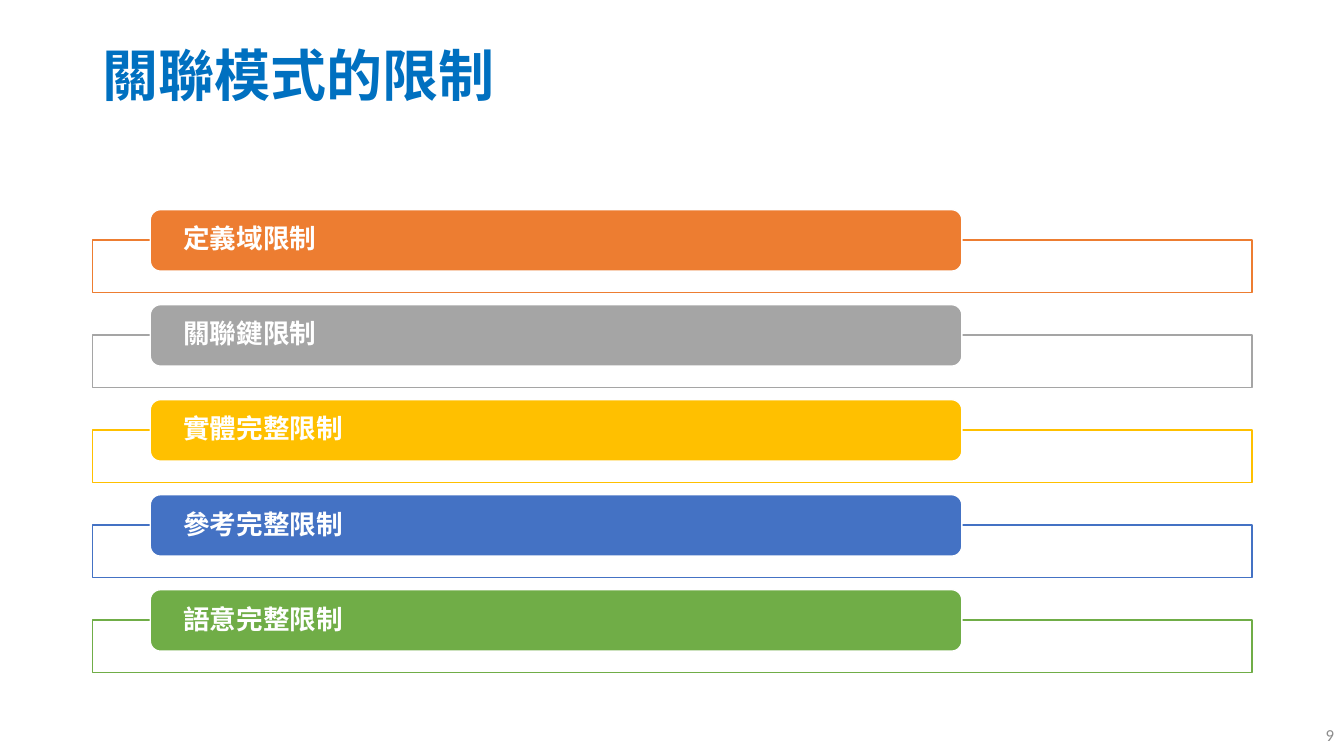
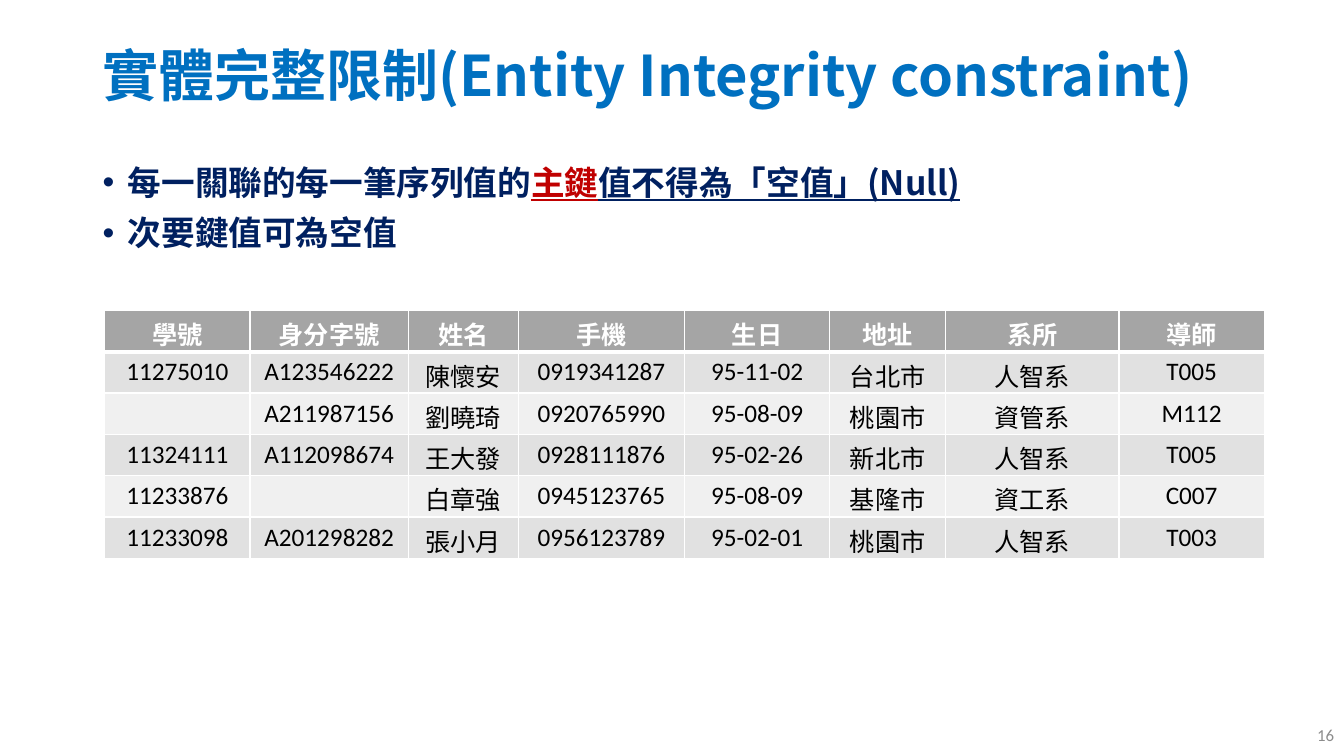
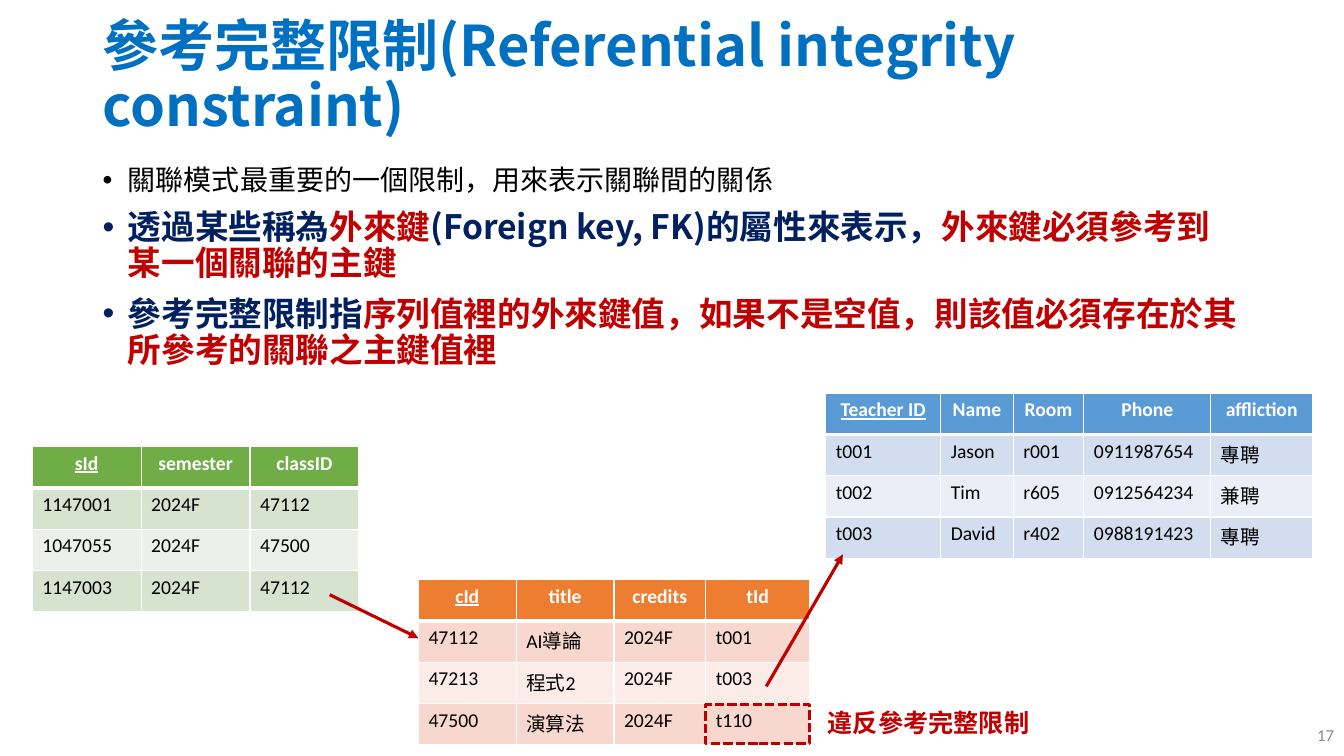
import dataclasses

import pptx
import pptx.dml.color
import pptx.enum.dml
import pptx.enum.shapes
import pptx.enum.text
import pptx.oxml
import pptx.oxml.ns
import pptx.util

Inches = pptx.util.Inches
Pt = pptx.util.Pt
Align = pptx.enum.text.PP_ALIGN
Anchor = pptx.enum.text.MSO_ANCHOR
Preset = pptx.enum.shapes.MSO_SHAPE


@dataclasses.dataclass(frozen=True)
class Theme:
    latin: str = "Calibri"
    cjk: str = "Noto Sans CJK SC"
    white: str = "FFFFFF"
    black: str = "000000"
    title: str = "0070C0"
    navy: str = "002060"
    red: str = "C00000"
    orange: str = "ED7D31"
    gray: str = "A5A5A5"
    gold: str = "FFC000"
    blue: str = "4472C4"
    sky: str = "5B9BD5"
    green: str = "70AD47"
    page_number: str = "8C8C8C"
    title_size: float = 40
    body_size: float = 24
    small_body_size: float = 20
    label_size: float = 19
    note_size: float = 18
    table_size: float = 18
    small_table_size: float = 14
    page_size: float = 12


THEME = Theme()
RED = {"color": THEME.red}

CONSTRAINTS = [
    ("定義域限制", THEME.orange),
    ("關聯鍵限制", THEME.gray),
    ("實體完整限制", THEME.gold),
    ("參考完整限制", THEME.blue),
    ("語意完整限制", THEME.green),
]

ENTITY_POINTS = [
    [
        "每一關聯的每一筆序列值的",
        ("主鍵", {"color": THEME.red, "underline": True}),
        ("值不得為「空值」(Null)", {"underline": True}),
    ],
    ["次要鍵值可為空值"],
]

REFERENCE_POINTS = [
    [("關聯模式最重要的一個限制，用來表示關聯間的關係",
      {"size": THEME.small_body_size, "color": THEME.black, "bold": False})],
    ["透過某些稱為", ("外來鍵", RED), "(Foreign key, FK)的屬性來表示，",
     ("外來鍵必須參考到某一個關聯的主鍵", RED)],
    ["參考完整限制指",
     ("序列值裡的外來鍵值，如果不是空值，則該值必須存在於其所參考的關聯之主鍵值裡", RED)],
]

STUDENTS = {
    "at": (1.04, 3.08),
    "columns": [1.44, 1.57, 1.09, 1.65, 1.44, 1.15, 1.72, 1.44],
    "fills": (THEME.gray, "E1E1E1", "F0F0F0"),
    "rows": [
        ["學號", "身分字號", "姓名", "手機", "生日", "地址", "系所", "導師"],
        ["11275010", "A123546222", "陳懷安", "0919341287", "95-11-02", "台北市", "人智系", "T005"],
        ["", "A211987156", "劉曉琦", "0920765990", "95-08-09", "桃園市", "資管系", "M112"],
        ["11324111", "A112098674", "王大發", "0928111876", "95-02-26", "新北市", "人智系", "T005"],
        ["11233876", "", "白章強", "0945123765", "95-08-09", "基隆市", "資工系", "C007"],
        ["11233098", "A201298282", "張小月", "0956123789", "95-02-01", "桃園市", "人智系", "T003"],
    ],
}

RELATIONS = [
    {
        "at": (0.32, 4.43),
        "columns": [1.08, 1.08, 1.08],
        "fills": (THEME.green, "D5E3CF", "EBF1E9"),
        "rows": [
            ["sId", "semester", "classID"],
            ["1147001", "2024F", "47112"],
            ["1047055", "2024F", "47500"],
            ["1147003", "2024F", "47112"],
        ],
    },
    {
        "at": (4.15, 5.75),
        "columns": [0.97, 0.97, 0.91, 1.03],
        "fills": (THEME.orange, "F8D7CE", "FCECE8"),
        "rows": [
            ["cId", "title", "credits", "tId"],
            ["47112", "AI導論", "2024F", "t001"],
            ["47213", "程式2", "2024F", "t003"],
            ["47500", "演算法", "2024F", "t110"],
        ],
    },
    {
        "at": (8.19, 3.9),
        "columns": [1.14, 0.72, 0.7, 1.26, 1.01],
        "fills": (THEME.sky, "D2DEEF", "EAEFF7"),
        "rows": [
            ["Teacher ID", "Name", "Room", "Phone", "affliction"],
            ["t001", "Jason", "r001", "0911987654", "專聘"],
            ["t002", "Tim", "r605", "0912564234", "兼聘"],
            ["t003", "David", "r402", "0988191423", "專聘"],
        ],
    },
]

KEY_ARROWS = [((3.27, 5.9), (4.15, 6.33)), ((7.6, 6.81), (8.36, 5.5))]
ROW_HEIGHT = 0.41


def rgb(color):
    return pptx.dml.color.RGBColor.from_string(color)


def add_xml(parent, xml, index=None):
    """Put a DrawingML element into parent, at the end unless index is given."""
    head, mark, rest = xml.partition(">")
    closing = "/" if head.endswith("/") else ""
    head = head.rstrip("/") + " " + pptx.oxml.ns.nsdecls("a") + closing
    element = pptx.oxml.parse_xml(head + mark + rest)
    parent.insert(len(parent) if index is None else index, element)


def write_text(frame, paragraphs, *, size, color, font=THEME.latin, bold=False,
               underline=False, align=Align.LEFT, anchor=Anchor.TOP, wrap=True,
               line_spacing=1.0, before=0, after=0, bullet=None):
    """Each paragraph is a list of runs: plain text, or text with its own format."""
    frame.word_wrap = wrap
    frame.vertical_anchor = anchor
    base = {"size": size, "color": color, "bold": bold, "underline": underline}
    for number, runs in enumerate(paragraphs):
        paragraph = frame.add_paragraph() if number else frame.paragraphs[0]
        paragraph.alignment = align
        paragraph.line_spacing = line_spacing
        paragraph.space_before = Pt(before)
        paragraph.space_after = Pt(after)
        if bullet:
            properties = paragraph._p.get_or_add_pPr()
            properties.set("marL", str(Inches(0.25)))
            properties.set("indent", str(Inches(-0.25)))
            add_xml(properties, '<a:buFont typeface="Arial"/>')
            add_xml(properties, f'<a:buChar char="{bullet}"/>')
        for item in runs:
            text, changes = (item, {}) if isinstance(item, str) else item
            style = base | changes
            run = paragraph.add_run()
            run.text = text
            run.font.size = Pt(style["size"])
            run.font.bold = style["bold"]
            run.font.underline = style["underline"]
            run.font.color.rgb = rgb(style["color"])
            run.font.name = font
            add_xml(run._r.get_or_add_rPr(), f'<a:ea typeface="{THEME.cjk}"/>')


def add_text(slide, box, paragraphs, **text_format):
    shape = slide.shapes.add_textbox(*map(Inches, box))
    write_text(shape.text_frame, paragraphs, **text_format)


def add_box(slide, preset, box, *, fill=None, line, width=1):
    shape = slide.shapes.add_shape(preset, *map(Inches, box))
    shape.shadow.inherit = False
    if fill:
        shape.fill.solid()
        shape.fill.fore_color.rgb = rgb(fill)
    else:
        shape.fill.background()
    shape.line.color.rgb = rgb(line)
    shape.line.width = Pt(width)
    return shape


def add_slide(presentation, title, page, title_font=THEME.cjk):
    slide = presentation.slides.add_slide(presentation.slide_layouts[6])
    add_text(slide, (0.92, 0.05, 11.5, 1.45), [[title]], size=THEME.title_size,
             color=THEME.title, font=title_font, bold=True, anchor=Anchor.MIDDLE,
             line_spacing=0.9)
    add_text(slide, (10.33, 7.09, 3, 0.4), [[str(page)]], size=THEME.page_size,
             color=THEME.page_number, align=Align.RIGHT, anchor=Anchor.MIDDLE)
    return slide


def add_points(slide, points):
    add_text(slide, (0.92, 1.6, 11.5, 5.16), points, size=THEME.body_size,
             color=THEME.navy, font=THEME.cjk, bold=True, line_spacing=0.9,
             before=10, bullet="•")


def add_cell_borders(cell, widths):
    for index, (side, width) in enumerate(widths.items()):
        add_xml(cell._tc.get_or_add_tcPr(),
                f'<a:ln{side} w="{Pt(width)}"><a:solidFill>'
                f'<a:srgbClr val="{THEME.white}"/></a:solidFill></a:ln{side}>', index)


def add_relation(slide, relation, *, size, body_align=Align.LEFT, key_underline=False):
    rows, columns = relation["rows"], relation["columns"]
    header_fill, *band_fills = relation["fills"]
    box = (*relation["at"], sum(columns), ROW_HEIGHT * len(rows))
    table = slide.shapes.add_table(len(rows), len(columns), *map(Inches, box)).table
    for column, width in zip(table.columns, columns):
        column.width = Inches(width)
    for row_index, values in enumerate(rows):
        header = row_index == 0
        table.rows[row_index].height = Inches(ROW_HEIGHT)
        for column_index, value in enumerate(values):
            cell = table.cell(row_index, column_index)
            cell.fill.solid()
            cell.fill.fore_color.rgb = rgb(
                header_fill if header else band_fills[(row_index - 1) % 2])
            add_cell_borders(cell, {"L": 1, "R": 1, "T": 1, "B": 3} if header
                             else {"L": 1, "R": 1, "T": 3 if row_index == 1 else 1, "B": 1})
            write_text(cell.text_frame, [[value] if value else []], size=size,
                       color=THEME.white if header else THEME.black, bold=header,
                       underline=header and key_underline and column_index == 0,
                       align=Align.CENTER if header else body_align)


def add_arrow(slide, start, end):
    arrow = slide.shapes.add_connector(pptx.enum.shapes.MSO_CONNECTOR.STRAIGHT,
                                       *map(Inches, (*start, *end)))
    arrow.line.color.rgb = rgb(THEME.red)
    arrow.line.width = Pt(2.25)
    add_xml(arrow.line._get_or_add_ln(), '<a:tailEnd type="triangle"/>')
    add_xml(arrow._element.spPr, "<a:effectLst/>")


def build_constraint_list(presentation):
    slide = add_slide(presentation, "關聯模式的限制", 9, title_font=THEME.latin)
    first_top, last_top = 2.38, 6.15
    pitch = (last_top - first_top) / (len(CONSTRAINTS) - 1)
    for index, (name, color) in enumerate(CONSTRAINTS):
        top = first_top + index * pitch
        add_box(slide, Preset.RECTANGLE, (0.92, top, 11.5, 0.52),
                fill=THEME.white, line=color)
        label = add_box(slide, Preset.ROUNDED_RECTANGLE, (1.49, top - 0.3, 8.05, 0.61),
                        fill=color, line=THEME.white)
        frame = label.text_frame
        frame.margin_left = frame.margin_right = Inches(0.3)
        frame.margin_top = frame.margin_bottom = 0
        write_text(frame, [[name]], size=THEME.label_size, color=THEME.white,
                   font=THEME.cjk, bold=True, anchor=Anchor.MIDDLE,
                   line_spacing=0.9, after=6.65)


def build_entity_integrity(presentation):
    slide = add_slide(presentation, "實體完整限制(Entity Integrity constraint)", 16)
    add_points(slide, ENTITY_POINTS)
    add_relation(slide, STUDENTS, size=THEME.table_size, body_align=Align.CENTER)


def build_referential_integrity(presentation):
    slide = add_slide(presentation, "參考完整限制(Referential integrity constraint)", 17)
    add_points(slide, REFERENCE_POINTS)
    for relation in RELATIONS:
        add_relation(slide, relation, size=THEME.small_table_size, key_underline=True)
    for start, end in KEY_ARROWS:
        add_arrow(slide, start, end)
    violation = add_box(slide, Preset.RECTANGLE, (7, 6.99, 1.03, 0.39),
                        line=THEME.red, width=2.25)
    violation.line.dash_style = pptx.enum.dml.MSO_LINE.SQUARE_DOT
    add_text(slide, (8.11, 6.97, 2.22, 0.4), [["違反參考完整限制"]],
             size=THEME.note_size, color=THEME.red, bold=True, wrap=False)


def main():
    presentation = pptx.Presentation()
    presentation.slide_width = Inches(13.33)
    presentation.slide_height = Inches(7.5)
    build_constraint_list(presentation)
    build_entity_integrity(presentation)
    build_referential_integrity(presentation)
    presentation.save("out.pptx")


if __name__ == "__main__":
    main()
